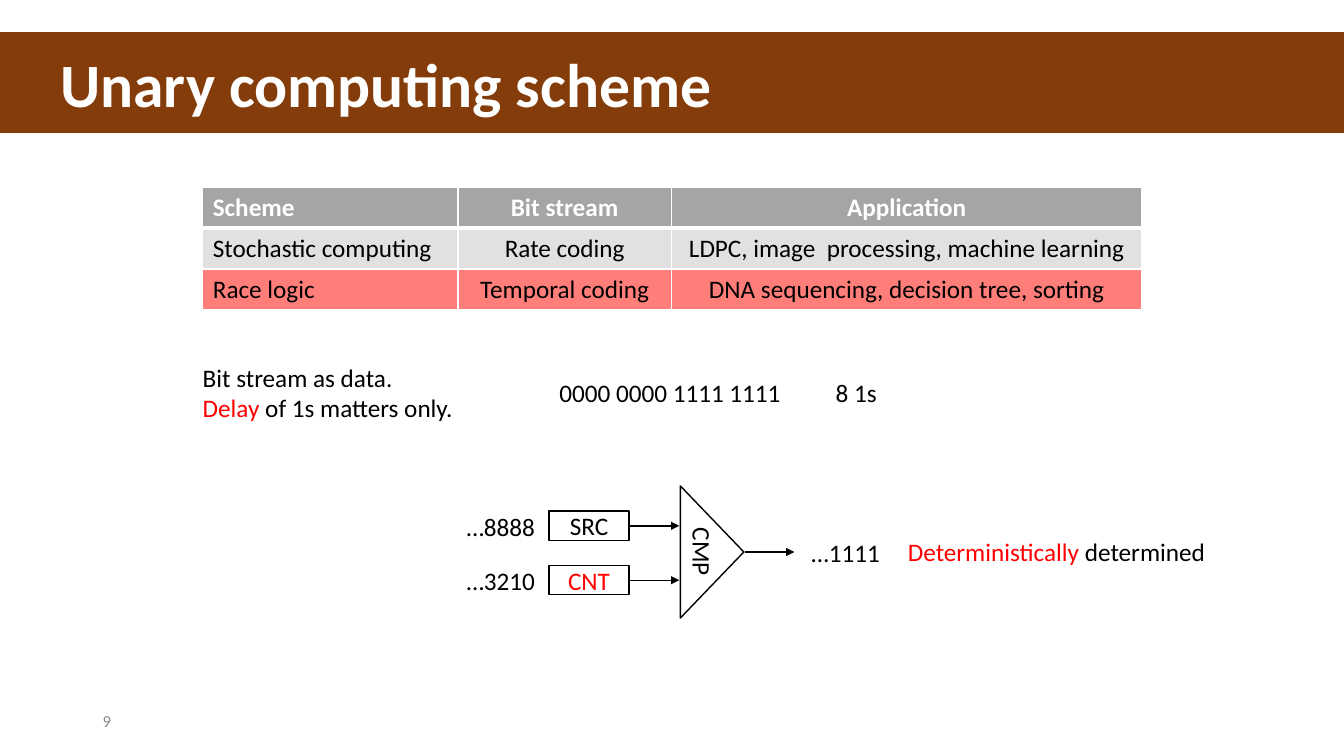
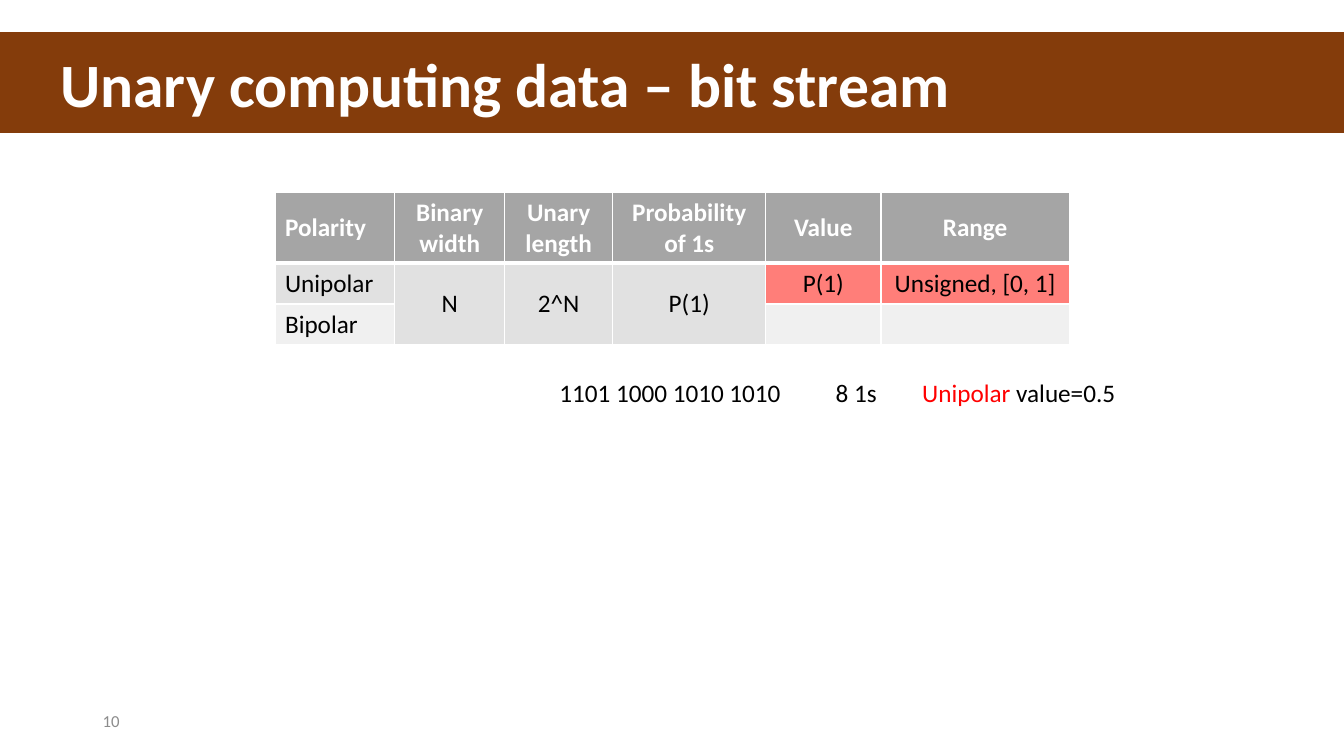
"""Build two slides on unary computing schemes and bit stream data."""
from lxml.etree import SubElement
from pptx import Presentation
from pptx.dml.color import RGBColor
from pptx.enum.shapes import MSO_CONNECTOR, MSO_SHAPE
from pptx.enum.text import MSO_ANCHOR, MSO_AUTO_SIZE, PP_ALIGN
from pptx.oxml.ns import qn
from pptx.util import Cm, Pt

BROWN = RGBColor(0x84, 0x3C, 0x0B)
WHITE = RGBColor(0xFF, 0xFF, 0xFF)
BLACK = RGBColor(0x00, 0x00, 0x00)
RED = RGBColor(0xFF, 0x00, 0x00)
PAGE_GRAY = RGBColor(0x8C, 0x8C, 0x8C)
HEADER_GRAY = RGBColor(0xA5, 0xA5, 0xA5)
ROW_GRAY = RGBColor(0xE1, 0xE1, 0xE1)
PALE_GRAY = RGBColor(0xF0, 0xF0, 0xF0)
SALMON = RGBColor(0xFF, 0x7E, 0x79)
FONT = "Calibri"
ROW_HEIGHT = 1.03
BITS_TOP = 9.52


def add_text(slide, left, top, width, *lines, size=18):
    """Place unwrapped lines, each a list of (text, colour) runs."""
    box = slide.shapes.add_textbox(Cm(left), Cm(top), Cm(width), Cm(0.76 * len(lines)))
    frame = box.text_frame
    frame.word_wrap = False
    frame.margin_left = frame.margin_right = frame.margin_top = frame.margin_bottom = 0
    for index, runs in enumerate(lines):
        paragraph = frame.add_paragraph() if index else frame.paragraphs[0]
        for text, color in runs:
            run = paragraph.add_run()
            run.text = text
            run.font.name, run.font.size = FONT, Pt(size)
            run.font.color.rgb = color
    return box


def add_grid(slide, left, top, widths, header_height, rows, fills):
    """Place a white-ruled table with a header row and a left-aligned first column."""
    heights = [header_height] + [ROW_HEIGHT] * (len(rows) - 1)
    table = slide.shapes.add_table(len(rows), len(widths), Cm(left), Cm(top),
                                   Cm(sum(widths)), Cm(sum(heights))).table
    for column, width in zip(table.columns, widths):
        column.width = Cm(width)
    for r, (row, height) in enumerate(zip(rows, heights)):
        table.rows[r].height = Cm(height)
        for c, content in enumerate(row):
            cell = table.cell(r, c)
            properties = cell._tc.get_or_add_tcPr()
            for side in "LRTB":
                thick = (r, side) in ((0, "B"), (1, "T"))
                border = SubElement(properties, qn(f"a:ln{side}"), w=str(Pt(3 if thick else 1)))
                SubElement(SubElement(border, qn("a:solidFill")), qn("a:srgbClr"), val=str(WHITE))
            cell.fill.solid()
            cell.fill.fore_color.rgb = fills[r][c]
            cell.vertical_anchor = MSO_ANCHOR.MIDDLE
            for index, line in enumerate(content.split("\n")):
                frame = cell.text_frame
                paragraph = frame.add_paragraph() if index else frame.paragraphs[0]
                paragraph.alignment = PP_ALIGN.CENTER if c else PP_ALIGN.LEFT
                if line:
                    run = paragraph.add_run()
                    run.text = line
                    run.font.name, run.font.size = FONT, Pt(18)
                    run.font.bold = r == 0
                    run.font.color.rgb = BLACK if r else WHITE
    return table


prs = Presentation()
prs.slide_width, prs.slide_height = Cm(33.87), Cm(19.05)

slides = []
for heading, page, bits in (
    ("Unary computing scheme", "9", "0000 0000 1111 1111"),
    ("Unary computing data – bit stream", "10", "1101 1000 1010 1010"),
):
    slide = prs.slides.add_slide(prs.slide_layouts[5])
    title = slide.shapes.title
    title.left, title.top = Cm(0), Cm(0.81)
    title.width, title.height = prs.slide_width, Cm(2.54)
    title.fill.solid()
    title.fill.fore_color.rgb = BROWN
    frame = title.text_frame
    frame.auto_size = MSO_AUTO_SIZE.NONE
    frame.vertical_anchor = MSO_ANCHOR.MIDDLE
    frame.margin_left = Cm(1.52)
    frame.paragraphs[0].alignment = PP_ALIGN.LEFT
    run = frame.paragraphs[0].add_run()
    run.text = heading
    run.font.name, run.font.size, run.font.bold = FONT, Pt(44), True
    run.font.color.rgb = WHITE
    add_text(slide, 2.59, 17.92, 0.5, [(page, PAGE_GRAY)], size=12)
    add_text(slide, 14.1, BITS_TOP, 5.66, [(bits, BLACK)])
    add_text(slide, 21.06, BITS_TOP, 1.05, [("8 1s", BLACK)])
    slides.append(slide)
scheme, data = slides

add_grid(
    scheme, 5.11, 4.72, [6.43, 5.38, 11.86], ROW_HEIGHT,
    [
        ["Scheme", "Bit stream", "Application"],
        ["Stochastic computing", "Rate coding", "LDPC, image  processing, machine learning"],
        ["Race logic", "Temporal coding", "DNA sequencing, decision tree, sorting"],
    ],
    [[HEADER_GRAY] * 3, [ROW_GRAY] * 3, [SALMON] * 3],
)
add_text(scheme, 5.11, 9.12, 6.38,
         [("Bit stream as data.", BLACK)],
         [("Delay", RED), (" of 1s matters only.", BLACK)])

comparator = scheme.shapes.add_shape(
    MSO_SHAPE.ISOSCELES_TRIANGLE, Cm(16.28), Cm(13.11), Cm(3.33), Cm(1.6))
comparator.rotation = 90
outlined = [comparator]
arrows = []
for name, color, stream, top in (("SRC", BLACK, "…8888", 12.88), ("CNT", RED, "…3210", 14.25)):
    register = scheme.shapes.add_shape(
        MSO_SHAPE.RECTANGLE, Cm(13.84), Cm(top), Cm(2.01), Cm(0.74))
    frame = register.text_frame
    frame.margin_top = frame.margin_bottom = 0
    frame.vertical_anchor = MSO_ANCHOR.MIDDLE
    frame.paragraphs[0].alignment = PP_ALIGN.CENTER
    run = frame.paragraphs[0].add_run()
    run.text = name
    run.font.name, run.font.size = FONT, Pt(18)
    run.font.color.rgb = color
    outlined.append(register)
    add_text(scheme, 11.76, top, 1.75, [(stream, BLACK)])
    middle = Cm(top + 0.37)
    arrow = scheme.shapes.add_connector(
        MSO_CONNECTOR.STRAIGHT, Cm(15.85), middle, Cm(17.12), middle)
    arrow.begin_connect(register, 3)
    arrows.append(arrow)
arrows.append(scheme.shapes.add_connector(
    MSO_CONNECTOR.STRAIGHT, Cm(18.77), Cm(13.91), Cm(20.02), Cm(13.91)))

for shape in outlined:
    shape.shadow.inherit = False
    shape.fill.background()
    shape.line.color.rgb = BLACK
    shape.line.width = Pt(1)
for arrow in arrows:
    arrow.line.color.rgb = BLACK
    arrow.line.width = Pt(1)
    SubElement(arrow.line._get_or_add_ln(), qn("a:tailEnd"), type="triangle")
    SubElement(arrow._element.spPr, qn("a:effectLst"))

comparator_label = add_text(scheme, 17.09, 13.54, 1.24, [("CMP", BLACK)])
comparator_label.rotation = 90
add_text(scheme, 20.45, 13.54, 1.75, [("…1111", BLACK)])
add_text(scheme, 22.88, 13.51, 7.57, [("Deterministically", RED), (" determined", BLACK)])

polarity = add_grid(
    data, 6.93, 4.85, [3.02, 2.77, 2.72, 3.86, 2.9, 4.75], 1.78,
    [
        ["Polarity", "Binary width", "Unary length", "Probability\nof 1s", "Value", "Range"],
        ["Unipolar", "N", "2^N", "P(1)", "P(1)", "Unsigned, [0, 1]"],
        ["Bipolar", "", "", "", "", ""],
    ],
    [[HEADER_GRAY] * 6, [ROW_GRAY] * 4 + [SALMON] * 2, [PALE_GRAY] * 6],
)
for column in (1, 2, 3):
    polarity.cell(1, column).merge(polarity.cell(2, column))
add_text(data, 23.24, BITS_TOP, 4.93, [("Unipolar ", RED), ("value=0.5", BLACK)])

prs.save("out.pptx")
